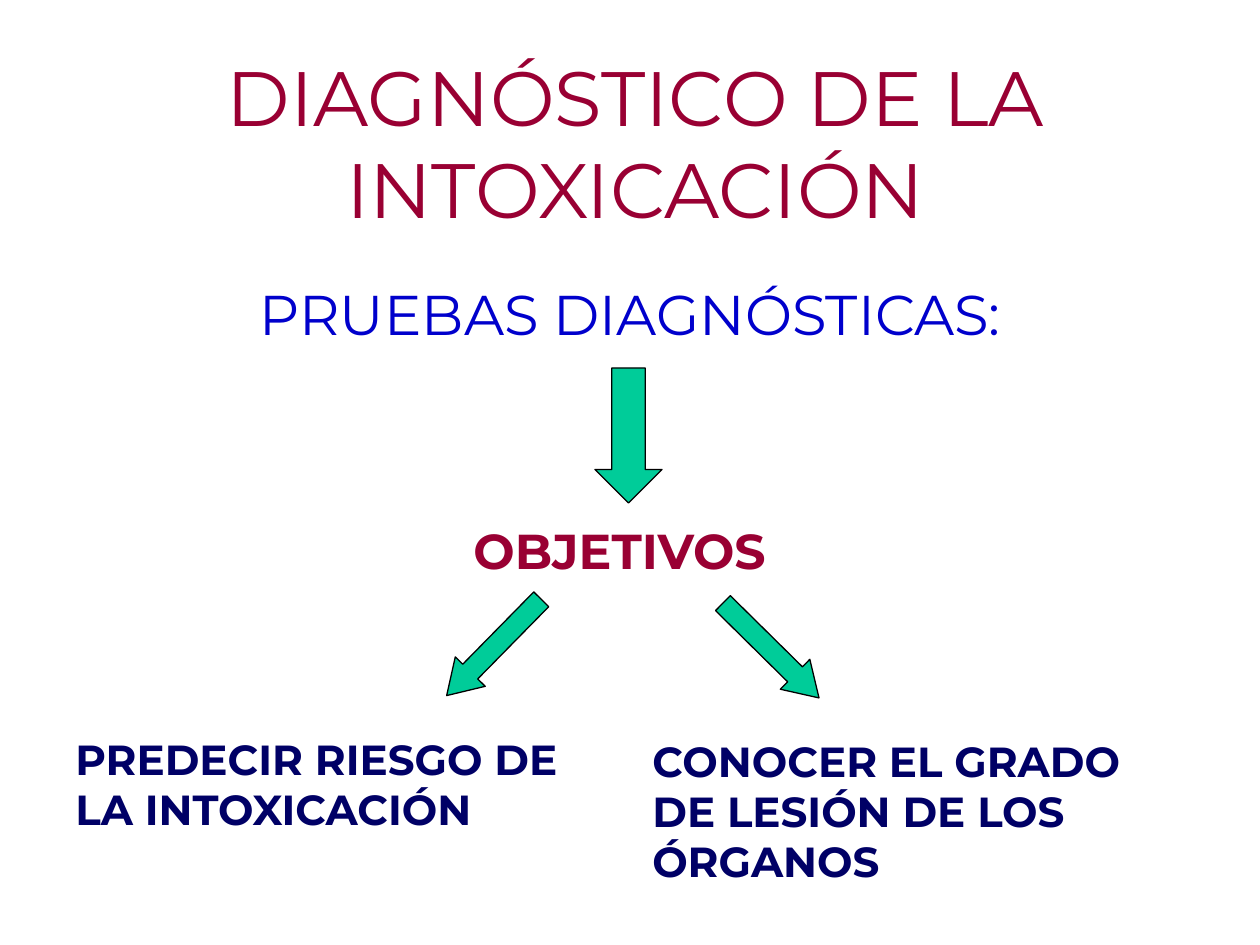
from pptx import Presentation
from pptx.dml.color import RGBColor
from pptx.enum.shapes import MSO_SHAPE
from pptx.enum.text import MSO_ANCHOR, PP_ALIGN
from pptx.util import Pt

PIXEL = 914400 // 126
FONT = "Montserrat"
CRIMSON = RGBColor(0x99, 0x00, 0x33)
BLUE = RGBColor(0x00, 0x00, 0xCC)
NAVY = RGBColor(0x00, 0x00, 0x66)
GREEN = RGBColor(0x00, 0xCC, 0x99)
BLACK = RGBColor(0x00, 0x00, 0x00)
DOWN_ARROW = MSO_SHAPE.DOWN_ARROW
LEFT, CENTER = PP_ALIGN.LEFT, PP_ALIGN.CENTER
TOP, MIDDLE = MSO_ANCHOR.TOP, MSO_ANCHOR.MIDDLE


def scale(*pixels):
    """Turn pixel lengths into EMU."""
    return [pixel * PIXEL for pixel in pixels]


def add_text(page, text, frame, size, color, bold=False, align=LEFT, anchor=TOP):
    """Add a wrapped text box with one formatted paragraph."""
    box = page.shapes.add_textbox(*scale(*frame))
    box.text_frame.word_wrap = True
    box.text_frame.vertical_anchor = anchor
    para = box.text_frame.paragraphs[0]
    para.alignment = align
    span = para.add_run()
    span.text = text
    span.font.name = FONT
    span.font.size = Pt(size)
    span.font.bold = bold
    span.font.color.rgb = color


def add_arrow(page, frame, head, rotation=0):
    """Add a green block arrow whose head length is relative to its width."""
    arrow = page.shapes.add_shape(DOWN_ARROW, *scale(*frame))
    arrow.shadow.inherit = False
    arrow.adjustments[0] = 0.5
    arrow.adjustments[1] = head
    arrow.rotation = rotation
    arrow.fill.solid()
    arrow.fill.fore_color.rgb = GREEN
    arrow.line.color.rgb = BLACK
    arrow.line.width = Pt(0.75)


def main():
    """Build the slide about the aims of diagnostic tests."""
    deck = Presentation()
    deck.slide_width, deck.slide_height = scale(1260, 945)
    page = deck.slides.add_slide(deck.slide_layouts[6])

    add_text(page, "DIAGNÓSTICO DE LA INTOXICACIÓN", (95, 42, 1081, 199), 44, CRIMSON,
             align=CENTER, anchor=MIDDLE)
    add_text(page, "PRUEBAS DIAGNÓSTICAS:", (95, 273, 1071, 567), 32, BLUE, align=CENTER)
    add_arrow(page, (595, 368, 67, 135), 0.5)
    add_text(page, "OBJETIVOS", (441, 514, 357, 72), 28, CRIMSON, bold=True, align=CENTER)

    for left, top, rotation in ((473, 580, 44.5), (750, 583, 314.6)):
        add_arrow(page, (left, top, 42, 135), 0.8, rotation)

    aims = (
        ("PREDECIR RIESGO DE LA INTOXICACIÓN", (63, 727, 557, 113)),
        ("CONOCER EL GRADO DE LESIÓN DE LOS ÓRGANOS", (640, 729, 546, 164)),
    )
    for text, frame in aims:
        add_text(page, text, frame, 24, NAVY, bold=True)

    deck.save("out.pptx")


main()
